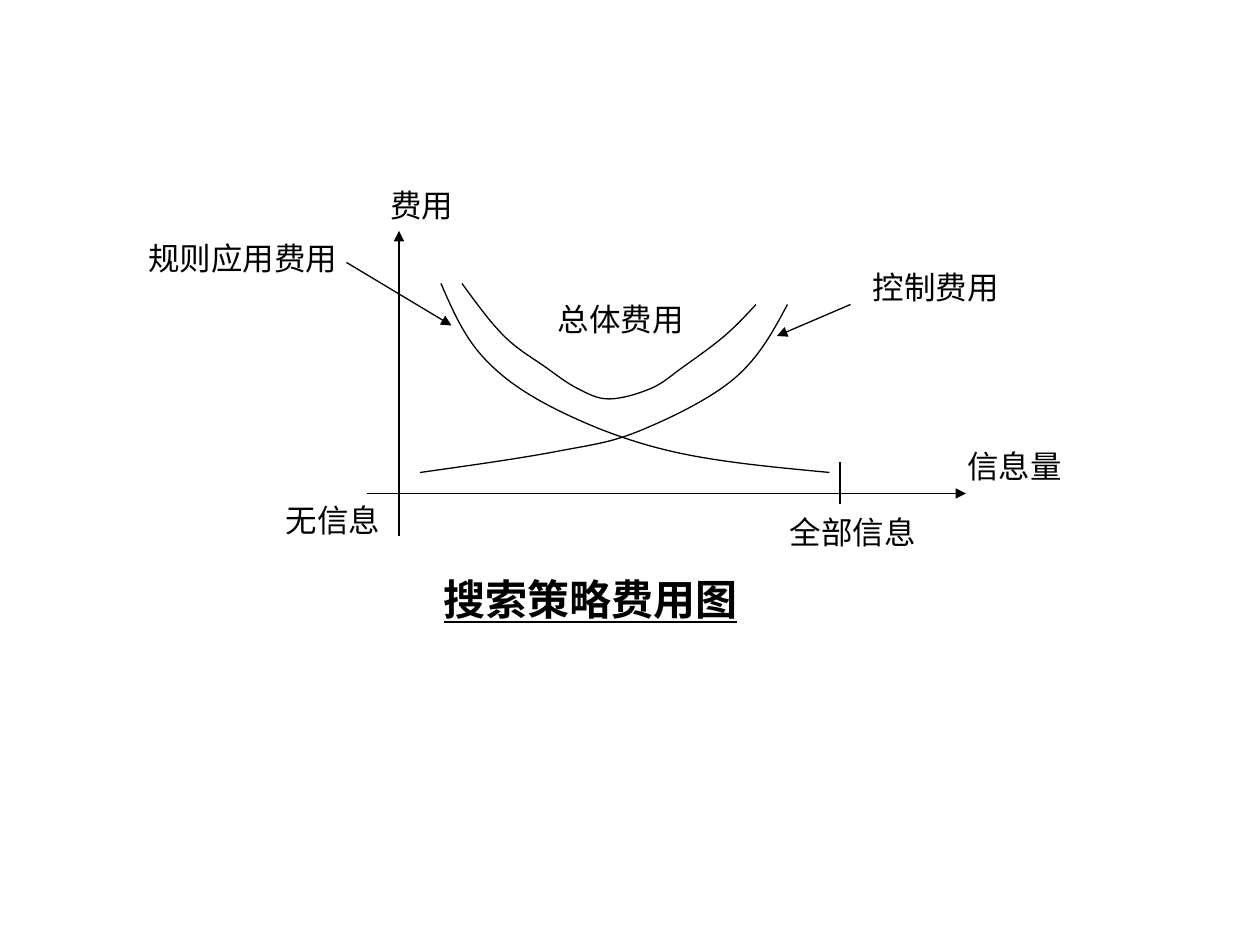
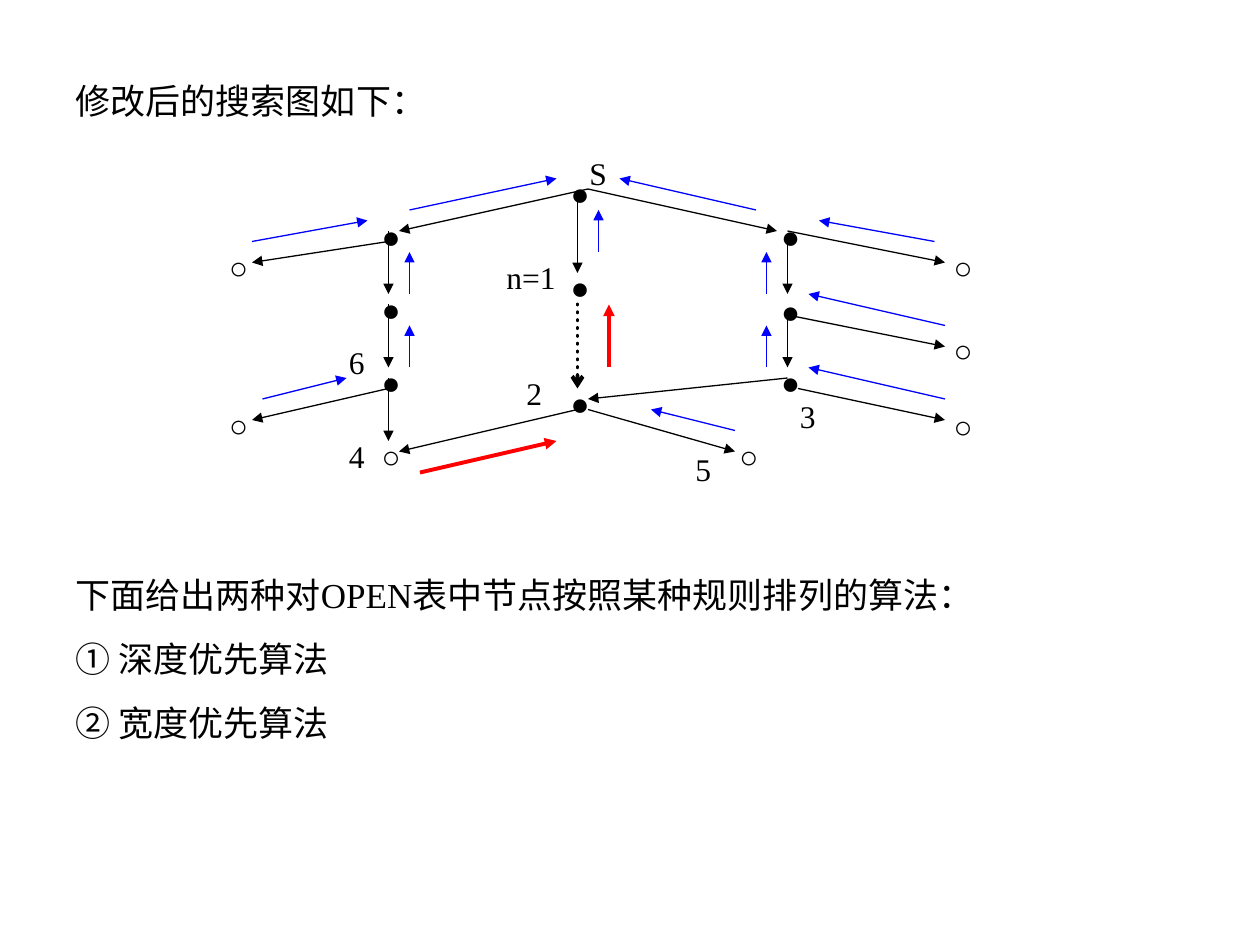
from dataclasses import dataclass
from typing import NamedTuple

from lxml import etree
from pptx import Presentation
from pptx.dml.color import RGBColor
from pptx.enum.dml import MSO_LINE
from pptx.enum.shapes import MSO_CONNECTOR
from pptx.enum.text import MSO_ANCHOR, MSO_AUTO_SIZE, PP_ALIGN
from pptx.oxml.ns import qn
from pptx.util import Inches, Pt

STRAIGHT = MSO_CONNECTOR.STRAIGHT
DOTTED = MSO_LINE.ROUND_DOT
TOP = MSO_ANCHOR.TOP
GROW = MSO_AUTO_SIZE.SHAPE_TO_FIT_TEXT
LEFT = PP_ALIGN.LEFT
TITLE_ONLY = 5
GRID_STEPS_PER_INCH = 12


class TextStyle(NamedTuple):
    size: float
    latin: str
    asian: str
    space_before: float = 0
    bold: bool = False
    underline: bool = False


class Stroke(NamedTuple):
    color: RGBColor
    width: float
    head: str = ""
    dotted: bool = False


CJK = "Noto Sans CJK SC"
SERIF = "Times New Roman"
BLACK = RGBColor(0, 0, 0)
BLUE = RGBColor(0, 0, 255)
RED = RGBColor(255, 0, 0)


@dataclass(frozen=True)
class Theme:
    ink: RGBColor = BLACK
    caption: TextStyle = TextStyle(24, CJK, CJK, 15, True, True)
    heading: TextStyle = TextStyle(20, CJK, CJK, 12.5)
    body: TextStyle = TextStyle(20, SERIF, CJK, 12.5)
    axis_label: TextStyle = TextStyle(18, CJK, CJK, 11.2)
    node_label: TextStyle = TextStyle(18, SERIF, SERIF, 11.2)
    node: TextStyle = TextStyle(18, SERIF, SERIF)
    plain: Stroke = Stroke(BLACK, 0.75)
    edge: Stroke = Stroke(BLACK, 0.75, "triangle")
    pointer: Stroke = Stroke(BLUE, 0.75, "triangle")
    new_pointer: Stroke = Stroke(RED, 2.25, "triangle")
    old_pointer: Stroke = Stroke(BLACK, 2.25, "arrow", True)


THEME = Theme()


class Point(NamedTuple):
    x: float
    y: float


class Area(NamedTuple):
    left: float
    top: float
    width: float
    height: float = 0.4


class Label(NamedTuple):
    text: str
    area: Area


class Segment(NamedTuple):
    x1: float
    y1: float
    x2: float
    y2: float


COST_LABELS = [
    Label("无信息", Area(2.17, 3.93, 1)),
    Label("全部信息", Area(6.17, 4.02, 1.58)),
    Label("控制费用", Area(6.83, 2.08, 1.58)),
    Label("规则应用费用", Area(1.08, 1.85, 1.83)),
    Label("总体费用", Area(4.33, 2.33, 1.58)),
    Label("信息量", Area(7.58, 3.5, 1.58)),
    Label("费用", Area(3, 1.43, 1.58)),
]
AXES = [Segment(3.17, 2.08, 3.17, 4.25), Segment(2.92, 3.92, 6.92, 3.92)]
FULL_INFORMATION_TICK = Segment(6.67, 3.67, 6.67, 4)
LABEL_ARROWS = [Segment(2.75, 2.08, 3.58, 2.58), Segment(6.75, 2.42, 6.17, 2.67)]
AXIS_ARROWS = [Segment(6.92, 3.92, 7.67, 3.92), Segment(3.17, 2.08, 3.17, 1.83)]
CONTROL_COST = [Point(6.25, 2.42), Point(5.83, 3), Point(5.08, 3.42),
                Point(4.42, 3.58), Point(3.33, 3.75)]
RULE_COST = [Point(3.5, 2.25), Point(3.83, 2.83), Point(4.42, 3.25),
             Point(5.33, 3.58), Point(6.58, 3.75)]
TOTAL_COST = [Point(3.67, 2.25), Point(4, 2.67), Point(4.33, 2.92),
              Point(4.58, 3.08), Point(4.83, 3.17), Point(5.17, 3.08),
              Point(5.42, 2.92), Point(5.75, 2.67), Point(6, 2.42)]

EXPANDED_NODES = [
    Point(4.43, 1.33), Point(4.43, 2.08), Point(4.43, 3),
    Point(2.93, 1.67), Point(2.93, 2.25), Point(2.93, 2.83),
    Point(6.1, 1.67), Point(6.1, 2.27), Point(6.1, 2.83),
]
OPEN_NODES = [
    Point(1.72, 1.92), Point(1.72, 3.17), Point(2.93, 3.42), Point(5.77, 3.42),
    Point(7.47, 1.92), Point(7.47, 2.58), Point(7.47, 3.18),
]
NODE_LABELS = [
    Label("n=1", Area(3.92, 2, 0.75)),
    Label("S", Area(4.58, 1.17, 0.42)),
    Label("2", Area(4.08, 2.92, 0.42)),
    Label("3", Area(6.25, 3.1, 0.42)),
    Label("4", Area(2.67, 3.42, 0.42)),
    Label("5", Area(5.42, 3.52, 0.42)),
    Label("6", Area(2.67, 2.67, 0.42)),
]
EDGES = [
    Segment(4.67, 1.5, 3.17, 1.83), Segment(4.67, 1.5, 6.17, 1.83),
    Segment(4.58, 1.58, 4.58, 2.17),
    Segment(3.08, 1.83, 3.08, 2.33), Segment(3.08, 2.42, 3.08, 2.92),
    Segment(3.08, 3, 3.08, 3.5),
    Segment(3.08, 1.92, 2, 2.08), Segment(3.08, 3.08, 2, 3.33),
    Segment(6.25, 1.92, 6.25, 2.33), Segment(6.25, 2.5, 6.25, 2.92),
    Segment(6.25, 1.83, 7.5, 2.08), Segment(6.25, 2.5, 7.5, 2.75),
    Segment(6.33, 3.08, 7.5, 3.33), Segment(6.25, 3, 4.67, 3.17),
    Segment(4.58, 3.25, 3.17, 3.58), Segment(4.67, 3.25, 5.83, 3.58),
]
POINTERS = [
    Segment(3.25, 1.67, 4.42, 1.42), Segment(6, 1.67, 4.92, 1.42),
    Segment(2, 1.92, 2.92, 1.75), Segment(2.08, 3.17, 2.75, 3),
    Segment(3.25, 2.33, 3.25, 2), Segment(3.25, 2.92, 3.25, 2.58),
    Segment(6.08, 2.33, 6.08, 2), Segment(6.08, 2.92, 6.08, 2.58),
    Segment(7.42, 1.92, 6.5, 1.75), Segment(7.5, 2.58, 6.42, 2.33),
    Segment(7.5, 3.17, 6.42, 2.92), Segment(4.75, 2, 4.75, 1.67),
    Segment(5.83, 3.42, 5.17, 3.25),
]
NEW_POINTERS = [Segment(4.83, 2.92, 4.83, 2.42), Segment(3.33, 3.75, 4.42, 3.5)]
OLD_POINTER = Segment(4.58, 2.42, 4.58, 3.08)
ALGORITHMS = [
    "下面给出两种对OPEN表中节点按照某种规则排列的算法：",
    "① 深度优先算法",
    "② 宽度优先算法",
]


def on_grid(value: float) -> int:
    return Inches(round(value * GRID_STEPS_PER_INCH) / GRID_STEPS_PER_INCH)


def fill_text(box, lines: list[str], style: TextStyle, wrap: bool = True) -> None:
    frame = box.text_frame
    frame.word_wrap = wrap
    frame.auto_size = GROW
    frame.vertical_anchor = TOP
    frame.text = "\n".join(lines)
    for para in frame.paragraphs:
        para.alignment = LEFT
        para.space_before = Pt(style.space_before)
        font = para.font
        font.name = style.latin
        font.size = Pt(style.size)
        font.bold = style.bold
        font.underline = style.underline
        font.color.rgb = THEME.ink
        properties = para._p.pPr.find(qn("a:defRPr"))
        asian = etree.Element(qn("a:ea"), typeface=style.asian)
        properties.find(qn("a:latin")).addnext(asian)


def add_text(page, lines: list[str], area: Area, style: TextStyle,
             wrap: bool = True) -> None:
    box = page.shapes.add_textbox(*map(Inches, area))
    fill_text(box, lines, style, wrap)


def add_labels(page, labels: list[Label], style: TextStyle) -> None:
    for label in labels:
        add_text(page, [label.text], label.area, style)


def add_page(deck, title: str, area: Area, style: TextStyle):
    page = deck.slides.add_slide(deck.slide_layouts[TITLE_ONLY])
    box = page.shapes.title
    box.left, box.top, box.width, box.height = map(Inches, area)
    fill_text(box, [title], style)
    return page


def add_lines(page, segments: list[Segment], stroke: Stroke) -> None:
    for segment in segments:
        connector = page.shapes.add_connector(STRAIGHT, *map(on_grid, segment))
        line = connector.line
        line.color.rgb = stroke.color
        line.width = Pt(stroke.width)
        properties = connector._element.spPr
        outline = properties.find(qn("a:ln"))
        if stroke.dotted:
            line.dash_style = DOTTED
            outline.set("cap", "rnd")
        if stroke.head:
            etree.SubElement(outline, qn("a:tailEnd"), type=stroke.head)
        etree.SubElement(properties, qn("a:effectLst"))


def shift(base: Point, before: Point, after: Point, factor: float) -> Point:
    return Point(base.x + (after.x - before.x) * factor,
                 base.y + (after.y - before.y) * factor)


def curve_controls(knots: list[Point]) -> list[tuple[Point, Point]]:
    controls = []
    last = len(knots) - 2
    for i in range(last + 1):
        start, end = knots[i], knots[i + 1]
        leave = shift(start, knots[i - 1], end, 1 / 6) if i > 0 else None
        arrive = shift(end, start, knots[i + 2], -1 / 6) if i < last else None
        leave = leave or shift(start, start, arrive, 0.5)
        arrive = arrive or shift(end, end, leave, 0.5)
        controls.append((leave, arrive))
    return controls


def add_curve(page, knots: list[Point], stroke: Stroke) -> None:
    anchors = [Point(on_grid(knot.x), on_grid(knot.y)) for knot in knots]
    builder = page.shapes.build_freeform(*anchors[0])
    builder.add_line_segments(anchors[1:], close=False)
    curve = builder.convert_to_shape()
    pieces = list(curve._element.iter(qn("a:lnTo")))
    for piece, controls in zip(pieces, curve_controls(anchors)):
        piece.tag = qn("a:cubicBezTo")
        for position, control in enumerate(controls):
            piece.insert(position, etree.Element(
                qn("a:pt"),
                x=str(round(control.x - curve.left)),
                y=str(round(control.y - curve.top)),
            ))
    curve.shadow.inherit = False
    curve.fill.background()
    curve.line.color.rgb = stroke.color
    curve.line.width = Pt(stroke.width)


def add_cost_page(deck) -> None:
    page = add_page(deck, "搜索策略费用图", Area(3.42, 4.5, 2.92, 0.5), THEME.caption)
    add_lines(page, AXES, THEME.plain)
    for knots in (CONTROL_COST, RULE_COST, TOTAL_COST):
        add_curve(page, knots, THEME.plain)
    add_lines(page, LABEL_ARROWS + AXIS_ARROWS, THEME.edge)
    add_lines(page, [FULL_INFORMATION_TICK], THEME.plain)
    add_labels(page, COST_LABELS, THEME.axis_label)


def add_search_page(deck) -> None:
    page = add_page(deck, "修改后的搜索图如下：", Area(0.5, 0.58, 9.17, 0.44), THEME.heading)
    for mark, nodes in (("●", EXPANDED_NODES), ("○", OPEN_NODES)):
        for node in nodes:
            add_text(page, [mark], Area(node.x, node.y, 0.35), THEME.node, wrap=False)
    add_lines(page, EDGES, THEME.edge)
    add_labels(page, NODE_LABELS, THEME.node_label)
    add_lines(page, POINTERS, THEME.pointer)
    add_lines(page, [OLD_POINTER], THEME.old_pointer)
    add_lines(page, NEW_POINTERS, THEME.new_pointer)
    add_text(page, ALGORITHMS, Area(0.5, 4.5, 9.17, 1.45), THEME.body)


def main() -> None:
    deck = Presentation()
    deck.slide_width, deck.slide_height = Inches(10), Inches(7.5)
    add_cost_page(deck)
    add_search_page(deck)
    deck.save("out.pptx")


if __name__ == "__main__":
    main()
